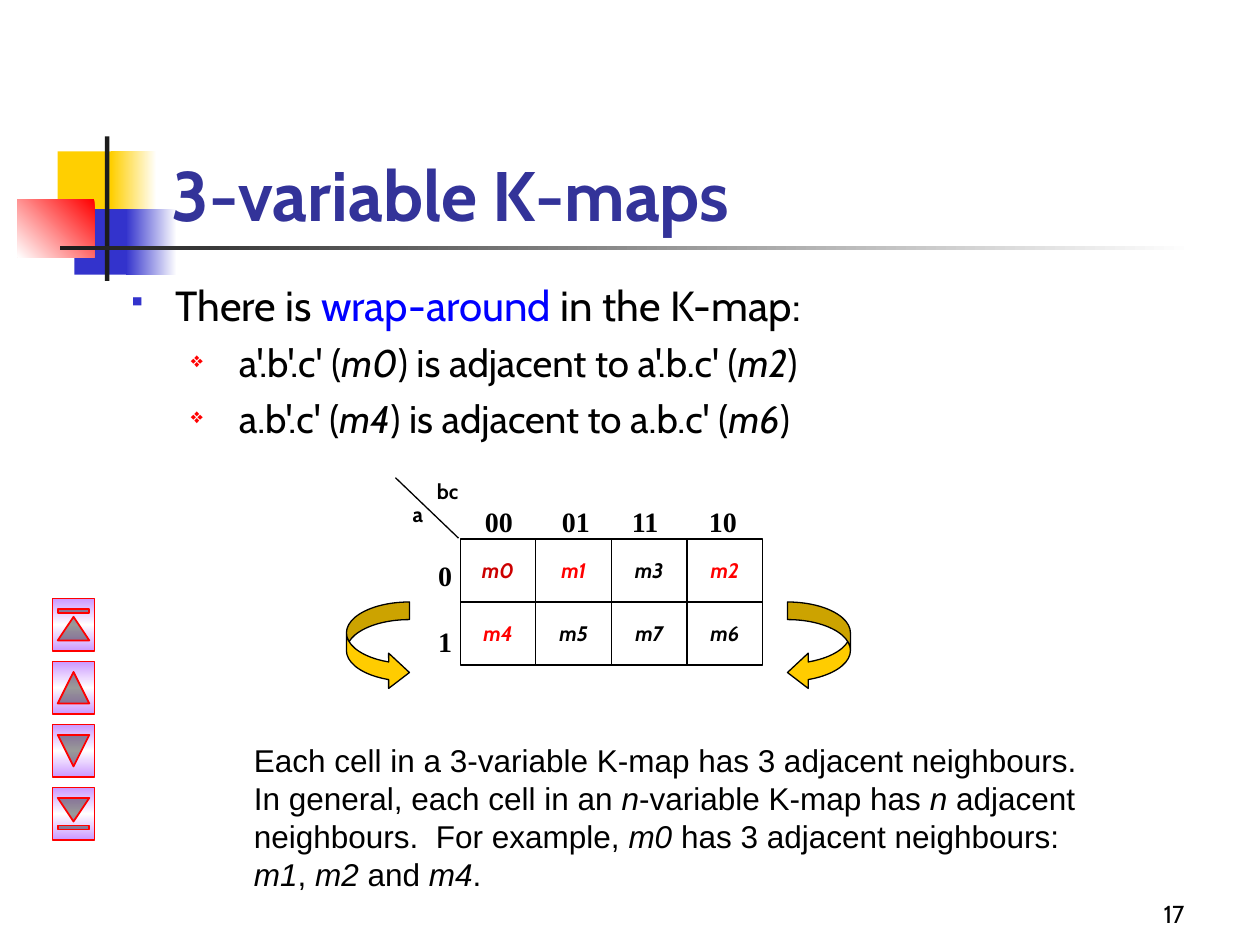
from dataclasses import dataclass

from lxml.etree import SubElement
from pptx import Presentation
from pptx.dml.color import RGBColor
from pptx.enum.shapes import MSO_CONNECTOR as Connector, MSO_SHAPE as Shape
from pptx.enum.text import MSO_ANCHOR as Anchor, PP_ALIGN as Align
from pptx.oxml.ns import qn
from pptx.util import Pt


@dataclass(frozen=True)
class Theme:
    black: str = "000000"
    white: str = "FFFFFF"
    charcoal: str = "1C1C1C"
    yellow: str = "FFCF01"
    gold: str = "FFCC00"
    blue: str = "3333CC"
    title_blue: str = "333399"
    bright_blue: str = "0000FF"
    red: str = "FF0000"
    dark_red: str = "CC0000"
    lilac: str = "CC99FF"
    heading_font: str = "Cabin"
    note_font: str = "Arial"
    axis_font: str = "Times New Roman"
    title_size: float = 40
    body_size: float = 24
    sub_size: float = 22
    note_size: float = 18
    axis_size: float = 16
    page_size: float = 14
    cell_size: float = 12
    line_width: float = 0.75
    button_line: float = 1


class SlideBuilder:
    def __init__(self, presentation, theme):
        self.theme = theme
        self.slide = presentation.slides.add_slide(presentation.slide_layouts[6])

    def apply_fill(self, shape, fill, angle):
        if fill is None:
            shape.fill.background()
        elif isinstance(fill, str):
            shape.fill.solid()
            shape.fill.fore_color.rgb = RGBColor.from_string(fill)
        else:
            shape.fill.gradient()
            shape.fill.gradient_angle = (360 - angle) % 360
            gradient = shape._element.spPr.find(qn("a:gradFill"))
            gradient.set("rotWithShape", "0")
            stops = gradient.find(qn("a:gsLst"))
            stops.clear()
            for index, color in enumerate(fill):
                position = 100000 * index // (len(fill) - 1)
                stop = SubElement(stops, qn("a:gs"), pos=str(position))
                SubElement(stop, qn("a:srgbClr"), val=color)

    def add_shape(self, kind, box, fill=None, angle=0, line=None, width=None,
                  rotation=0, adjustments=()):
        shape = self.slide.shapes.add_shape(kind, *map(Pt, box))
        shape.shadow.inherit = False
        shape.rotation = rotation
        self.apply_fill(shape, fill, angle)
        if line:
            shape.line.color.rgb = RGBColor.from_string(line)
            shape.line.width = Pt(width or self.theme.line_width)
        else:
            shape.line.fill.background()
        for index, value in enumerate(adjustments):
            shape.adjustments[index] = value

    def add_line(self, *ends):
        line = self.slide.shapes.add_connector(Connector.STRAIGHT, *map(Pt, ends))
        line.line.color.rgb = RGBColor.from_string(self.theme.black)
        line.line.width = Pt(self.theme.line_width)
        SubElement(line._element.spPr, qn("a:effectLst"))

    def add_bullet(self, paragraph, char, color, percent, margin, indent):
        properties = paragraph._p.get_or_add_pPr()
        properties.set("marL", str(Pt(margin)))
        properties.set("indent", str(Pt(indent)))
        bullet_color = SubElement(properties, qn("a:buClr"))
        SubElement(bullet_color, qn("a:srgbClr"), val=color)
        SubElement(properties, qn("a:buSzPct"), val=str(percent * 1000))
        SubElement(properties, qn("a:buChar"), char=char)

    def add_tabs(self, paragraph, positions):
        tab_list = SubElement(paragraph._p.get_or_add_pPr(), qn("a:tabLst"))
        for position in positions:
            SubElement(tab_list, qn("a:tab"), pos=str(Pt(position)), algn="l")

    def add_text(self, box, paragraphs, font, size, anchor=Anchor.TOP, **style):
        frame = self.slide.shapes.add_textbox(*map(Pt, box)).text_frame
        frame.word_wrap = True
        frame.vertical_anchor = anchor
        for index, (runs, layout) in enumerate(paragraphs):
            paragraph = frame.add_paragraph() if index else frame.paragraphs[0]
            paragraph.alignment = layout.get("align", Align.LEFT)
            if "before" in layout:
                paragraph.space_before = Pt(layout["before"])
            if "bullet" in layout:
                self.add_bullet(paragraph, *layout["bullet"])
            if "tabs" in layout:
                self.add_tabs(paragraph, layout["tabs"])
            for text, changes in runs:
                run = paragraph.add_run()
                run.text = text
                values = {"name": font, "size": layout.get("size", size),
                          "color": self.theme.black} | style | changes
                run.font.color.rgb = RGBColor.from_string(values.pop("color"))
                values["size"] = Pt(values["size"])
                for name, value in values.items():
                    setattr(run.font, name, value)

    def add_label(self, box, text, font, size, align=Align.LEFT,
                  anchor=Anchor.TOP, **style):
        self.add_text(box, [([(text, {})], {"align": align})], font, size,
                      anchor, **style)


def mix(*parts):
    return [(text, {"italic": True} if index % 2 else {})
            for index, text in enumerate(parts)]


def add_decoration(builder, theme):
    for box, fill, angle in (
        ((33, 86.5, 34.5, 37.5), theme.yellow, 0),
        ((63.5, 86.5, 26, 37.5), (theme.white, theme.yellow), 180),
        ((42.5, 119.5, 33, 37.5), theme.blue, 0),
        ((72, 119.5, 29, 37.5), (theme.white, theme.blue), 180),
        ((10, 114, 44, 33), (theme.red, theme.white), 135),
        ((60, 78, 2.5, 82.5), theme.charcoal, 0),
        ((34.5, 140.5, 648, 2.5), (theme.white, theme.charcoal), 180),
    ):
        builder.add_shape(Shape.RECTANGLE, box, fill, angle)


def add_body(builder, theme):
    first = {"bullet": ("▪", theme.blue, 60, 27, -27)}
    second = {"bullet": ("❖", theme.red, 55, 63.5, -27.5),
              "before": 5.5, "size": theme.sub_size}
    builder.add_text((66, 156, 642, 102), [
        ([("There is ", {}), ("wrap-around", {"color": theme.bright_blue}),
          (" in the K-map:", {})], first),
        (mix("a'.b'.c' (", "m0", ") is adjacent to a'.b.c' (", "m2", ")"), second),
        (mix("a.b'.c' (", "m4", ") is adjacent to a.b.c' (", "m6", ")"), second),
    ], theme.heading_font, theme.body_size)


def add_map(builder, theme):
    left, top, width, height = 263, 308, 43.2, 36
    right, bottom = left + 4 * width, top + 2 * height
    builder.add_shape(Shape.RECTANGLE, (left, top, right - left, bottom - top),
                      line=theme.black)
    builder.add_line(left, top + height, right, top + height)
    for column in range(1, 4):
        builder.add_line(left + column * width, top, left + column * width, bottom)
    colors = {"m0": theme.dark_red} | dict.fromkeys(("m1", "m2", "m4"), theme.red)
    for row, names in enumerate((("m0", "m1", "m3", "m2"), ("m4", "m5", "m7", "m6"))):
        for column, name in enumerate(names):
            box = (left + column * width, top + row * height + 7.2, width, 28.8)
            builder.add_label(box, name, theme.heading_font, theme.cell_size,
                              Align.CENTER, bold=True, italic=True,
                              color=colors.get(name, theme.black))
    builder.add_text((241, 315.5, 24.5, 61), [
        ([("0", {})], {"align": Align.RIGHT}),
        ([("1", {})], {"align": Align.RIGHT, "before": 18.5}),
    ], theme.axis_font, theme.axis_size, bold=True)
    builder.add_text((270, 285, 161.5, 29), [
        ([("00\t01\t11\t10", {})], {"tabs": (44, 84, 128)}),
    ], theme.axis_font, theme.axis_size, bold=True)
    builder.add_line(262, 307.5, 226, 273)
    for box, name in (((223, 283, 31.5, 29), "a"), ((237, 270, 37.5, 23), "bc")):
        builder.add_label(box, name, theme.heading_font, theme.cell_size,
                          Align.CENTER, bold=True)
    for kind, x in ((Shape.CURVED_RIGHT_ARROW, 198), (Shape.CURVED_LEFT_ARROW, 450)):
        builder.add_shape(kind, (x, 344, 36, 50.4), theme.gold, line=theme.black,
                          adjustments=(0.28, 0.56, 0.33))


def add_buttons(builder, theme):
    for index, kind in enumerate((
        Shape.ACTION_BUTTON_BEGINNING, Shape.ACTION_BUTTON_BACK_OR_PREVIOUS,
        Shape.ACTION_BUTTON_FORWARD_OR_NEXT, Shape.ACTION_BUTTON_END,
    )):
        builder.add_shape(kind, (27, 345 + 36 * index, 30, 24),
                          (theme.lilac, theme.white, theme.lilac), 90,
                          theme.red, theme.button_line, 90)


def main():
    theme = Theme()
    presentation = Presentation()
    presentation.slide_width, presentation.slide_height = Pt(720), Pt(540)
    builder = SlideBuilder(presentation, theme)
    add_decoration(builder, theme)
    builder.add_label((91, 48, 613.5, 90), "3-variable K-maps", theme.heading_font,
                      theme.title_size, anchor=Anchor.BOTTOM, bold=True,
                      color=theme.title_blue)
    add_body(builder, theme)
    add_map(builder, theme)
    builder.add_text((138, 420, 492, 96), [(mix(
        "Each cell in a 3-variable K-map has 3 adjacent neighbours.  "
        "In general, each cell in an ", "n", "-variable K-map has ", "n",
        " adjacent neighbours.  For example, ", "m0",
        " has 3 adjacent neighbours: ", "m1", ", ", "m2", " and ", "m4", "."), {})],
        theme.note_font, theme.note_size)
    add_buttons(builder, theme)
    builder.add_label((534, 498, 150, 36), "17", theme.heading_font, theme.page_size,
                      Align.RIGHT, Anchor.BOTTOM)
    presentation.save("out.pptx")


if __name__ == "__main__":
    main()
